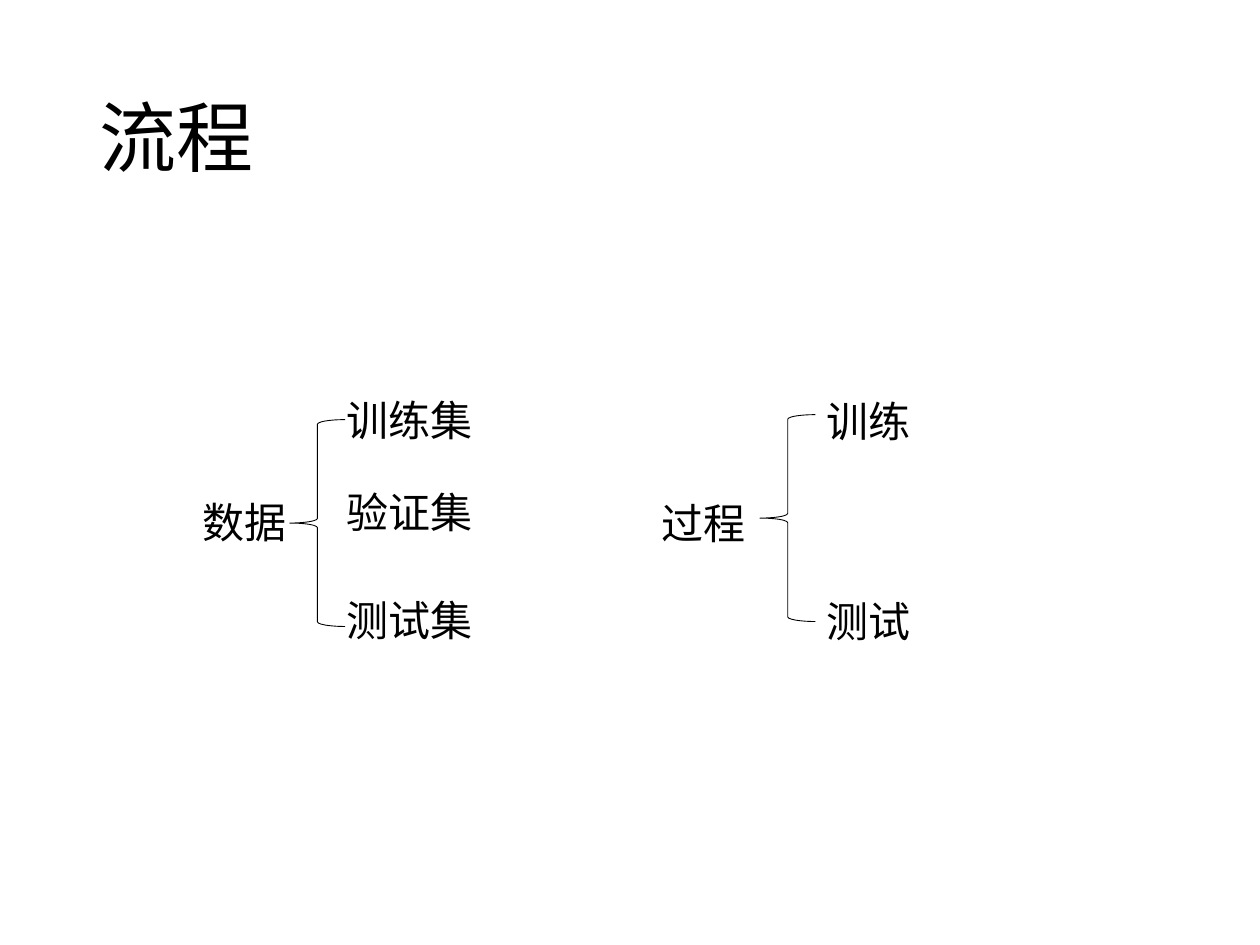
from lxml import etree
from pptx import Presentation
from pptx.dml.color import RGBColor
from pptx.enum.shapes import MSO_SHAPE
from pptx.enum.text import MSO_ANCHOR, MSO_AUTO_SIZE, PP_ALIGN
from pptx.oxml.ns import qn
from pptx.util import Cm, Pt

LEFT_BRACE = MSO_SHAPE.LEFT_BRACE
MIDDLE = MSO_ANCHOR.MIDDLE
LEFT = PP_ALIGN.LEFT
GROW = MSO_AUTO_SIZE.SHAPE_TO_FIT_TEXT

TITLE = "流程"
# Positions in cm: label and brace as (left, top), branches as left plus tops
GROUPS = [
    {"label": "数据", "label_at": (3.84, 9.88), "brace_at": (5.84, 8.46),
     "branch_left": 6.73,
     "branches": [("训练集", 7.82), ("验证集", 9.68), ("测试集", 11.86)]},
    {"label": "过程", "label_at": (13.08, 9.91), "brace_at": (15.32, 8.36),
     "branch_left": 16.41,
     "branches": [("训练", 7.85), ("测试", 11.89)]},
]
COLOURS = {"ink": "000000", "paper": "FFFFFF"}
FONT = "Noto Sans CJK SC"
LABEL_SIZE = 24
CHARACTER_WIDTH, SIDE_MARGINS, LABEL_HEIGHT = 0.85, 0.51, 1.27
BRACE_WIDTH, BRACE_HEIGHT = 1.12, 4.17


def write(frame, text, size=LABEL_SIZE, spacing=None):
    para = frame.paragraphs[0]
    para.alignment = LEFT
    if spacing:
        para.line_spacing = spacing
    span = para.add_run()
    span.text = text
    span.font.size = Pt(size)
    span.font.name = FONT
    span.font.color.rgb = RGBColor.from_string(COLOURS["ink"])
    east_asian = etree.Element(qn("a:ea"), typeface=FONT)
    span.font._element.find(qn("a:latin")).addnext(east_asian)


def add_label(page, text, left, top):
    width = len(text) * CHARACTER_WIDTH + SIDE_MARGINS
    box = page.shapes.add_textbox(Cm(left), Cm(top), Cm(width), Cm(LABEL_HEIGHT))
    box.text_frame.word_wrap = False
    box.text_frame.auto_size = GROW
    write(box.text_frame, text)


def add_brace(page, left, top):
    brace = page.shapes.add_shape(
        LEFT_BRACE, Cm(left), Cm(top), Cm(BRACE_WIDTH), Cm(BRACE_HEIGHT))
    brace.shadow.inherit = False
    brace.fill.background()
    brace.line.color.rgb = RGBColor.from_string(COLOURS["ink"])
    brace.line.width = Pt(0.5)


def main():
    deck = Presentation()
    deck.slide_width, deck.slide_height = Cm(25.4), Cm(19.05)
    page = deck.slides.add_slide(deck.slide_layouts[5])
    page.background.fill.solid()
    page.background.fill.fore_color.rgb = RGBColor.from_string(COLOURS["paper"])

    title = page.shapes.title
    title.left, title.top = Cm(1.75), Cm(1.02)
    title.width, title.height = Cm(21.9), Cm(3.68)
    title.text_frame.vertical_anchor = MIDDLE
    write(title.text_frame, TITLE, size=44, spacing=0.9)

    for group in GROUPS:
        add_label(page, group["label"], *group["label_at"])
        add_brace(page, *group["brace_at"])
        for text, top in group["branches"]:
            add_label(page, text, group["branch_left"], top)

    deck.save("out.pptx")


if __name__ == "__main__":
    main()
